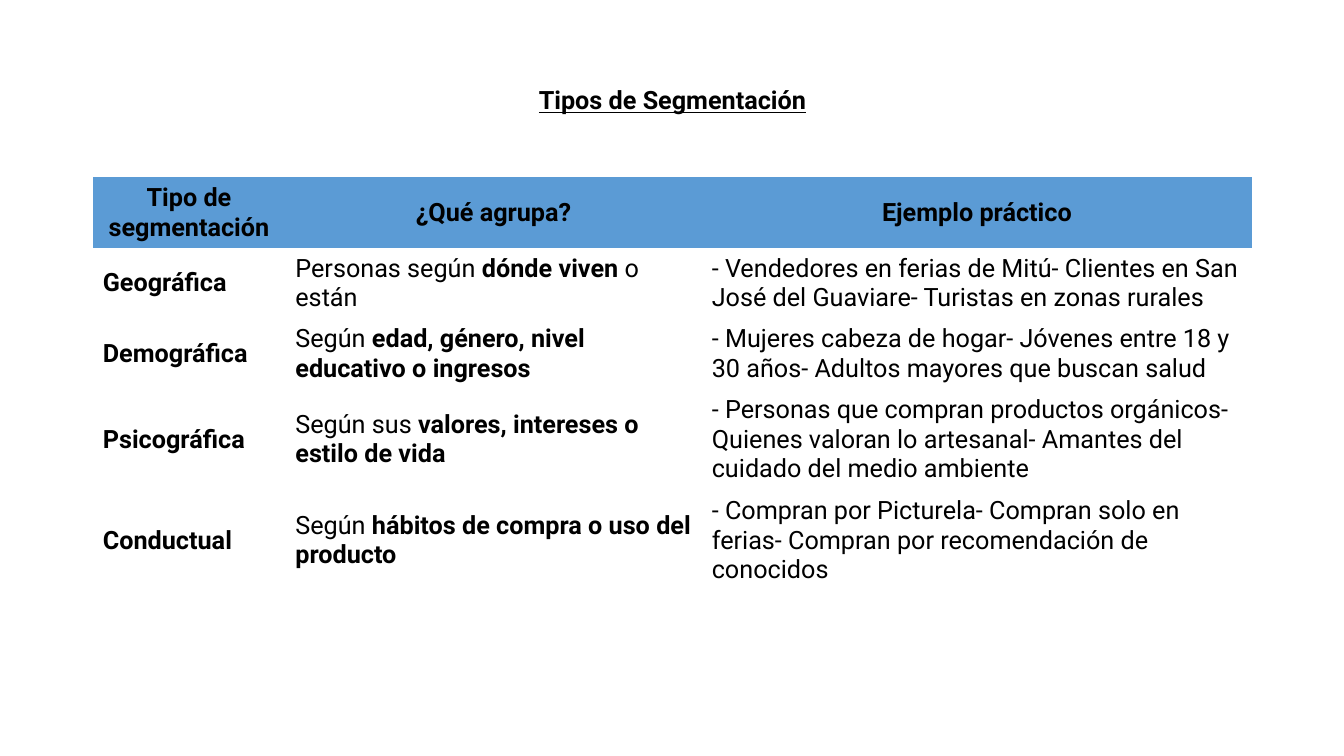
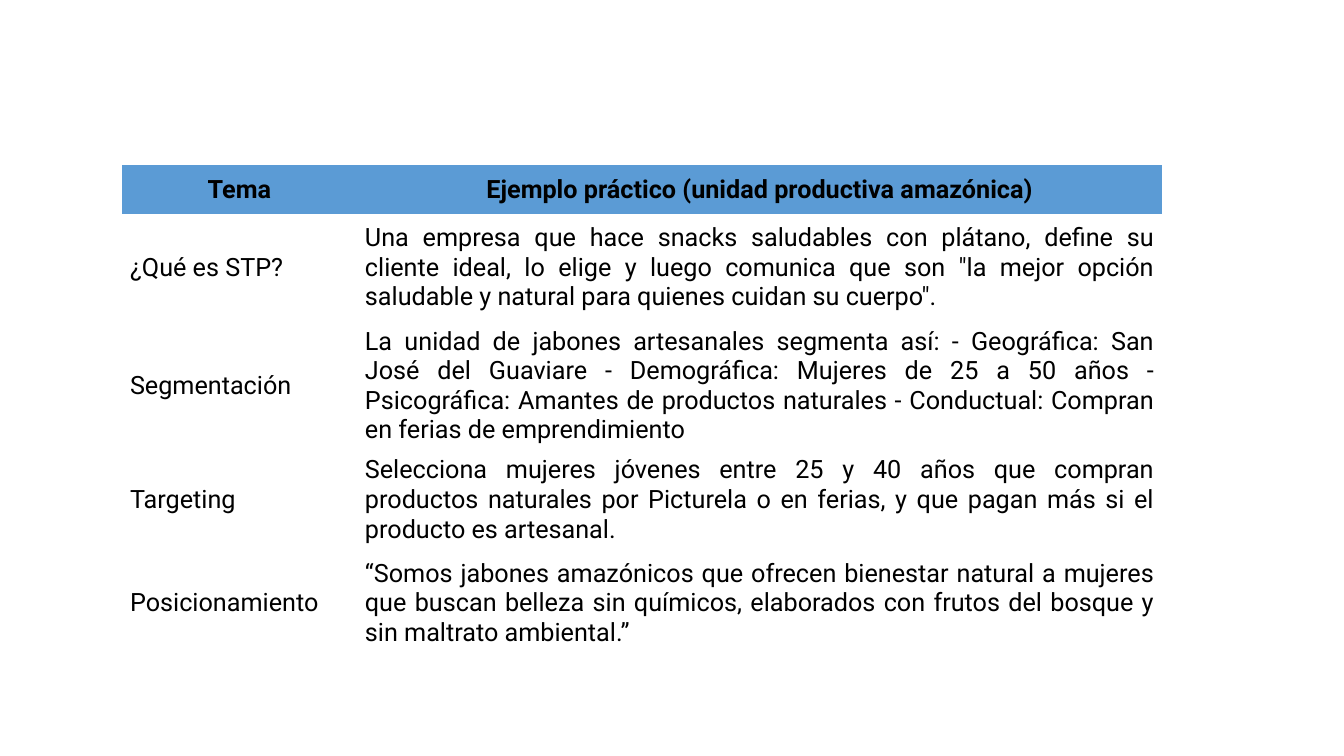
from pptx import Presentation
from pptx.dml.color import RGBColor
from pptx.enum.text import MSO_ANCHOR, PP_ALIGN
from pptx.oxml.ns import qn
from pptx.util import Inches, Pt

COLORS = {"text": "000000", "header": "5B9BD5"}
FONT = "Roboto"
TEXT_SIZE = 18
NO_STYLE_NO_GRID = "{2D5ABB26-0587-4C30-8999-92F81FD0307C}"
LEFT, CENTER, JUSTIFY = PP_ALIGN.LEFT, PP_ALIGN.CENTER, PP_ALIGN.JUSTIFY

# Text between ** marks is bold
SEGMENTATION = [
    ("Tipo de segmentación", "¿Qué agrupa?", "Ejemplo práctico"),
    ("**Geográfica**", "Personas según **dónde viven** o están",
     "- Vendedores en ferias de Mitú- Clientes en San José del Guaviare"
     "- Turistas en zonas rurales"),
    ("**Demográfica**", "Según **edad, género, nivel educativo o ingresos**",
     "- Mujeres cabeza de hogar- Jóvenes entre 18 y 30 años"
     "- Adultos mayores que buscan salud"),
    ("**Psicográfica**", "Según sus **valores, intereses o estilo de vida**",
     "- Personas que compran productos orgánicos- Quienes valoran lo artesanal"
     "- Amantes del cuidado del medio ambiente"),
    ("**Conductual**", "Según **hábitos de compra o uso del producto**",
     "- Compran por Picturela- Compran solo en ferias"
     "- Compran por recomendación de conocidos"),
]

STP_EXAMPLES = [
    ("Tema", "Ejemplo práctico (unidad productiva amazónica)"),
    ("¿Qué es STP?",
     "Una empresa que hace snacks saludables con plátano, define su cliente ideal, "
     "lo elige y luego comunica que son \"la mejor opción saludable y natural para "
     "quienes cuidan su cuerpo\"."),
    ("Segmentación",
     "La unidad de jabones artesanales segmenta así: - Geográfica: San José del "
     "Guaviare - Demográfica: Mujeres de 25 a 50 años - Psicográfica: Amantes de "
     "productos naturales - Conductual: Compran en ferias de emprendimiento"),
    ("Targeting",
     "Selecciona mujeres jóvenes entre 25 y 40 años que compran productos naturales "
     "por Picturela o en ferias, y que pagan más si el producto es artesanal."),
    ("Posicionamiento",
     "“Somos jabones amazónicos que ofrecen bienestar natural a mujeres que buscan "
     "belleza sin químicos, elaborados con frutos del bosque y sin maltrato "
     "ambiental.”"),
]


def write_text(frame, text, align=LEFT, underline=None):
    """Write one paragraph, switching bold at each ** mark."""
    paragraph = frame.paragraphs[0]
    paragraph.alignment = align
    for index, part in enumerate(text.split("**")):
        if part:
            run = paragraph.add_run()
            run.text = part
            run.font.name = FONT
            run.font.size = Pt(TEXT_SIZE)
            run.font.bold = index % 2 == 1
            run.font.underline = underline
            run.font.color.rgb = RGBColor.from_string(COLORS["text"])


def add_title(slide, text, left, top, width, height):
    title = slide.shapes.add_textbox(
        Inches(left), Inches(top), Inches(width), Inches(height))
    title.text_frame.word_wrap = True
    write_text(title.text_frame, f"**{text}**", CENTER, underline=True)


def add_topic_table(slide, rows, left, top, widths, heights, aligns, margins):
    """Table with a blue header row and plain body; margins are (side, end)."""
    frame = slide.shapes.add_table(
        len(rows), len(widths), Inches(left), Inches(top),
        Inches(sum(widths)), Inches(sum(heights)))
    table = frame.table
    table.horz_banding = table.first_row = False
    for style in frame._element.iter(qn("a:tableStyleId")):
        style.text = NO_STYLE_NO_GRID

    for column, width in zip(table.columns, widths):
        column.width = Inches(width)
    for row, height in zip(table.rows, heights):
        row.height = Inches(height)

    side, end = map(Inches, margins)
    for r, texts in enumerate(rows):
        for c, text in enumerate(texts):
            cell = table.cell(r, c)
            cell.vertical_anchor = MSO_ANCHOR.MIDDLE
            cell.margin_left = cell.margin_right = side
            cell.margin_top = cell.margin_bottom = end
            if r == 0:
                cell.fill.solid()
                cell.fill.fore_color.rgb = RGBColor.from_string(COLORS["header"])
                write_text(cell.text_frame, f"**{text}**", CENTER)
            else:
                cell.fill.background()
                write_text(cell.text_frame, text, aligns[c])


def build_segmentation(slide):
    add_title(slide, "Tipos de Segmentación", 2.94, 0.79, 7.46, 0.71)
    add_topic_table(slide, SEGMENTATION, 0.92, 1.76, (1.91, 4.13, 5.46),
                    (0.7, 0.7, 0.7, 1, 1), (LEFT, LEFT, LEFT), (0.1, 0.05))


def build_stp_examples(slide):
    add_topic_table(slide, STP_EXAMPLES, 1.21, 1.64, (2.33, 7.99),
                    (0.48, 1.07, 1.27, 0.97, 1.07), (LEFT, JUSTIFY), (0.08, 0.04))


def main():
    deck = Presentation()
    deck.slide_width, deck.slide_height = Inches(13.33), Inches(7.5)
    for build in (build_segmentation, build_stp_examples):
        build(deck.slides.add_slide(deck.slide_layouts[6]))
    deck.save("out.pptx")


if __name__ == "__main__":
    main()
